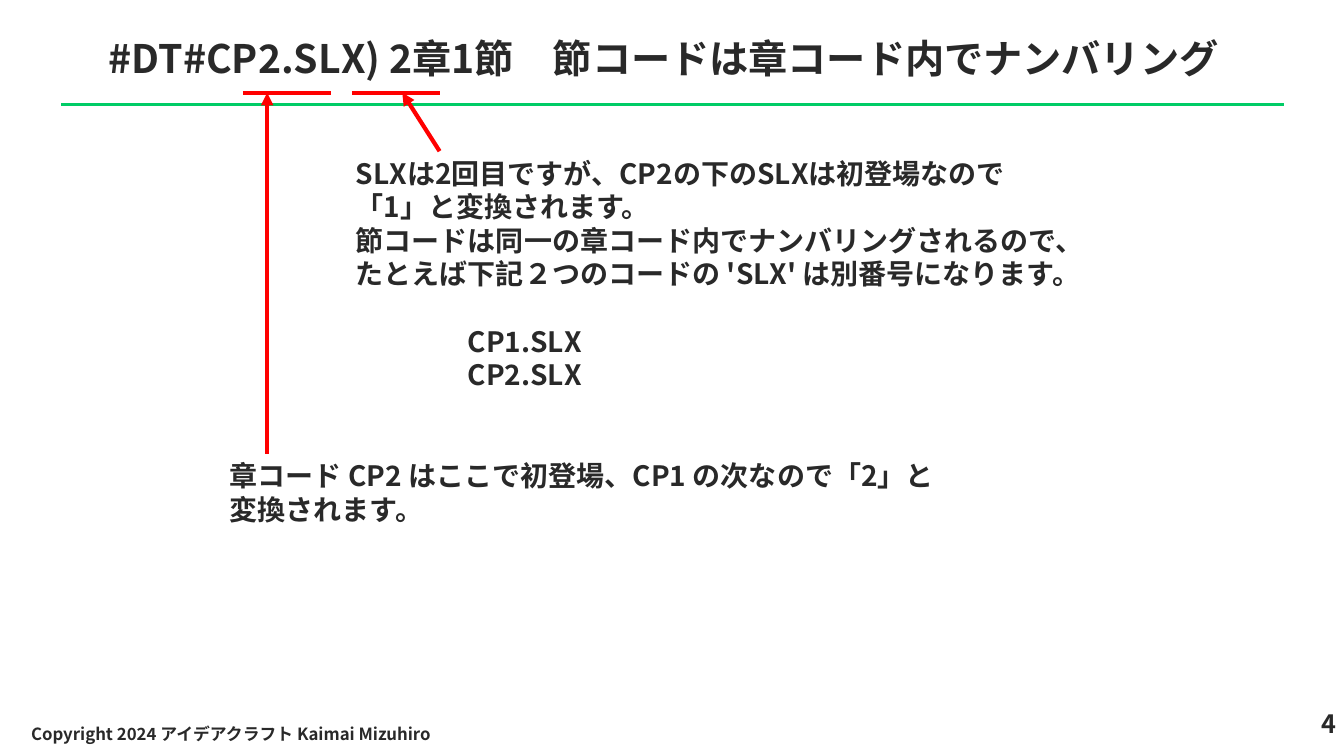
from dataclasses import dataclass

from lxml.etree import SubElement
from pptx import Presentation
from pptx.dml.color import RGBColor
from pptx.enum.shapes import MSO_CONNECTOR
from pptx.enum.text import MSO_ANCHOR, MSO_AUTO_SIZE, PP_ALIGN
from pptx.oxml.ns import qn
from pptx.shapes.base import BaseShape
from pptx.slide import Slide
from pptx.util import Inches, Pt

INK = RGBColor(0x29, 0x29, 0x29)
GREEN = RGBColor(0x00, 0xCC, 0x66)
RED = RGBColor(0xFF, 0x00, 0x00)
FONT = "Noto Sans CJK JP"
LINE_HEIGHT = 1.2
CODE_INDENT = 80


@dataclass
class Line:
    start: tuple[float, float]
    end: tuple[float, float]
    color: RGBColor = RED
    width: float = 3
    arrow: bool = False


@dataclass
class Paragraph:
    text: str
    indent: float = 0
    space_before: float = 0


@dataclass
class Block:
    box: tuple[float, float, float, float]
    size: float
    paragraphs: list[Paragraph]
    align: PP_ALIGN = PP_ALIGN.LEFT
    anchor: MSO_ANCHOR = MSO_ANCHOR.TOP


TITLE = Block(
    (0.98, 0.29, 11.98, 0.71), 28,
    [Paragraph("#DT#CP2.SLX) 2章1節　節コードは章コード内でナンバリング")],
)
CHAPTER_NOTE = Block(
    (2.18, 4.5, 7.24, 0.77), 20,
    [Paragraph("章コード CP2 はここで初登場、CP1 の次なので「2」と変換されます。")],
)
SECTION_NOTE = Block(
    (3.43, 1.5, 7.24, 2.46), 20,
    [
        Paragraph("SLXは2回目ですが、CP2の下のSLXは初登場なので「1」と変換されます。"),
        Paragraph("節コードは同一の章コード内でナンバリングされるので、"
                  "たとえば下記２つのコードの 'SLX' は別番号になります。"),
        Paragraph("CP1.SLX", CODE_INDENT, 24),
        Paragraph("CP2.SLX", CODE_INDENT),
    ],
)
PAGE_NUMBER = Block((11.71, 6.98, 1.64, 0.5), 18, [Paragraph("4")], PP_ALIGN.RIGHT)
COPYRIGHT = Block(
    (0.21, 7.08, 6.06, 0.4), 12,
    [Paragraph("Copyright 2024 アイデアクラフト Kaimai Mizuhiro")],
    anchor=MSO_ANCHOR.MIDDLE,
)

LINES = [
    Line((0.61, 1.04), (12.73, 1.04), GREEN, 2.25),
    Line((2.65, 4.5), (2.65, 0.92), arrow=True),
    Line((2.41, 0.92), (3.28, 0.92)),
    Line((3.49, 0.92), (4.36, 0.92)),
    Line((4.36, 1.5), (3.99, 0.92), arrow=True),
]


def draw_line(slide: Slide, line: Line) -> None:
    connector = slide.shapes.add_connector(
        MSO_CONNECTOR.STRAIGHT, *map(Inches, line.start + line.end))
    connector.line.color.rgb = line.color
    connector.line.width = Pt(line.width)
    properties = connector._element.spPr
    if line.arrow:
        SubElement(properties.find(qn("a:ln")), qn("a:tailEnd"), type="triangle")
    SubElement(properties, qn("a:effectLst"))


def fill_text(shape: BaseShape, block: Block) -> None:
    shape.left, shape.top, shape.width, shape.height = map(Inches, block.box)
    frame = shape.text_frame
    frame.word_wrap = True
    frame.auto_size = MSO_AUTO_SIZE.NONE
    frame.vertical_anchor = block.anchor
    for index, content in enumerate(block.paragraphs):
        paragraph = frame.add_paragraph() if index else frame.paragraphs[0]
        paragraph.alignment = block.align
        paragraph.line_spacing = Pt(block.size * LINE_HEIGHT)
        if content.space_before:
            paragraph.space_before = Pt(content.space_before)
        if content.indent:
            paragraph._p.get_or_add_pPr().set("marL", str(Pt(content.indent)))
        run = paragraph.add_run()
        run.text = content.text
        run.font.name = FONT
        run.font.size = Pt(block.size)
        run.font.bold = True
        run.font.color.rgb = INK
        SubElement(run._r.get_or_add_rPr(), qn("a:ea"), typeface=FONT)


def main() -> None:
    presentation = Presentation()
    presentation.slide_width = Inches(13.33)
    presentation.slide_height = Inches(7.5)
    slide = presentation.slides.add_slide(presentation.slide_layouts[5])
    fill_text(slide.shapes.title, TITLE)
    for line in LINES:
        draw_line(slide, line)
    for block in (CHAPTER_NOTE, SECTION_NOTE, PAGE_NUMBER, COPYRIGHT):
        fill_text(slide.shapes.add_textbox(*map(Inches, block.box)), block)
    presentation.save("out.pptx")


if __name__ == "__main__":
    main()
